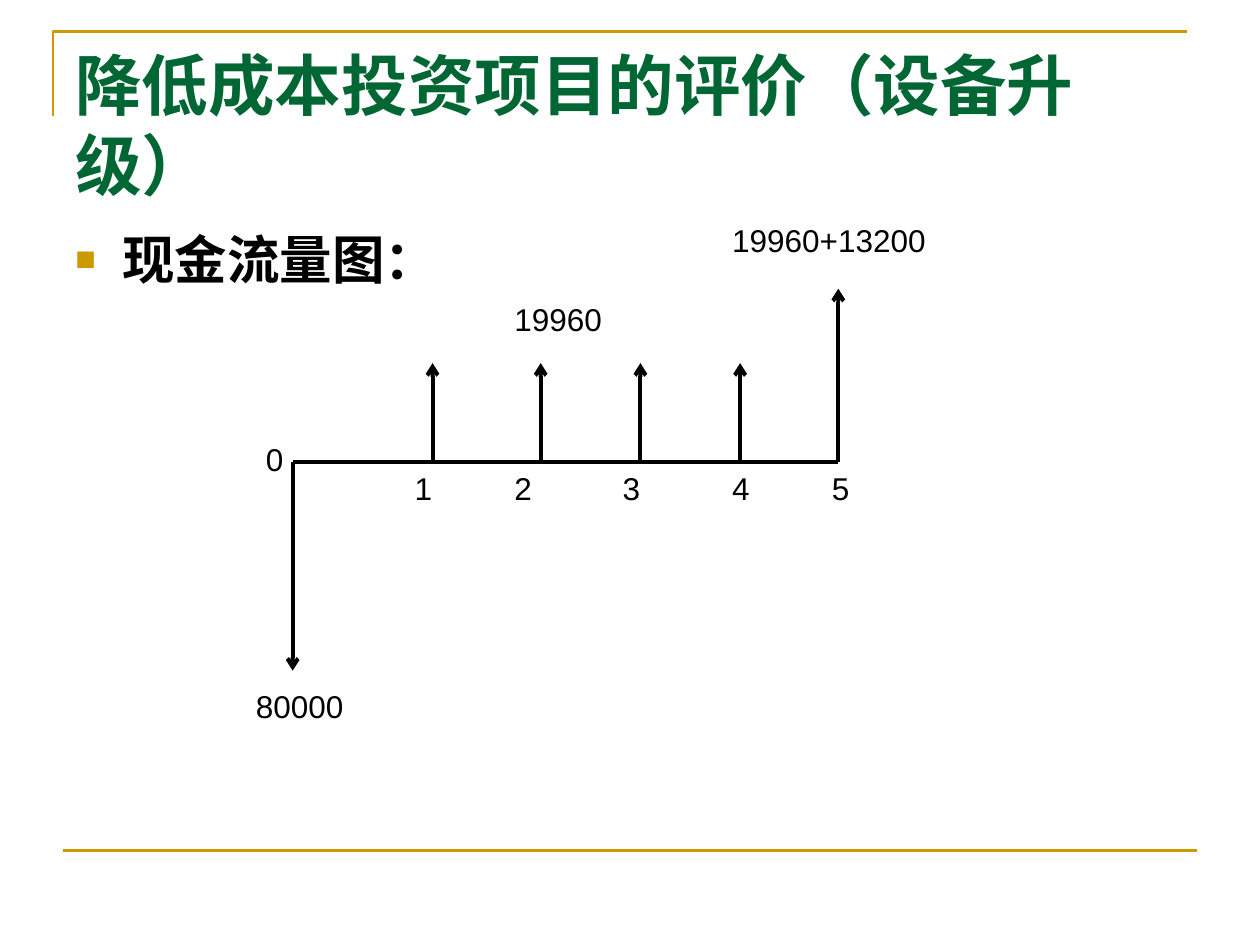
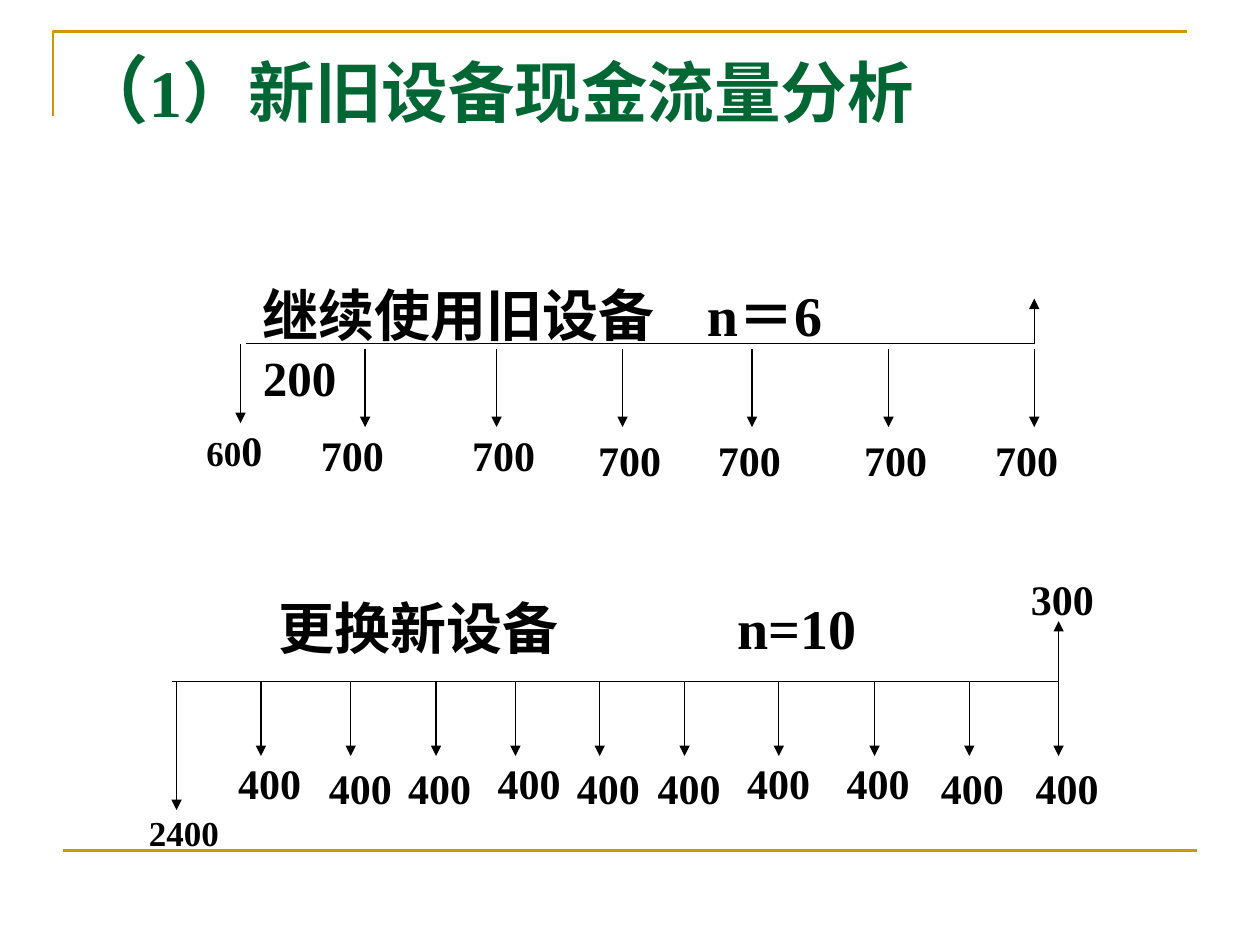
from lxml.etree import SubElement
from pptx import Presentation
from pptx.dml.color import RGBColor
from pptx.enum.shapes import MSO_CONNECTOR as Connector
from pptx.enum.text import MSO_ANCHOR as Anchor, PP_ALIGN as Align
from pptx.oxml.ns import qn
from pptx.util import Cm, Pt

# Shared look
GOLD, GREEN, BLACK = "CC9900", "006633", "000000"
TITLE = dict(name="Times New Roman", size=38, bold=True, color=GREEN)
BODY = dict(name="Arial", size=30, bold=True, color=BLACK)
PLAIN = dict(name="Arial", size=18, bold=False, color=BLACK)
SERIF = dict(name="Times New Roman", size=24, bold=True, color=BLACK)
SERIF_SMALL = SERIF | dict(size=20)
SERIF_HEAD = SERIF | dict(size=32)
THICK = dict(weight=2.25, head="arrow")
THIN = dict(weight=0.75, head="triangle")


def rgb(hex_code):
    return RGBColor.from_string(hex_code)


def style_font(font, look):
    for name, value in look.items():
        if name == "color":
            font.color.rgb = rgb(value)
        else:
            setattr(font, name, Pt(value) if name == "size" else value)


def write(para, *spans):
    """Each span is (text, look)."""
    for text, look in spans:
        span = para.add_run()
        span.text = text
        style_font(span.font, look)


def set_frame(frame, right=0.25):
    settings = dict(word_wrap=True, vertical_anchor=Anchor.TOP,
                    margin_left=Cm(0.25), margin_right=Cm(right),
                    margin_top=Cm(0.13), margin_bottom=Cm(0.13))
    for name, value in settings.items():
        setattr(frame, name, value)


def add_text(shapes, left, top, width, height, *spans):
    box = shapes.add_textbox(Cm(left), Cm(top), Cm(width), Cm(height))
    set_frame(box.text_frame, right=0)
    para = box.text_frame.paragraphs[0]
    write(para, *spans)
    return para


def add_tab(para, position):
    stops = SubElement(para._p.get_or_add_pPr(), qn("a:tabLst"))
    SubElement(stops, qn("a:tab"), pos=str(Cm(position)), algn="l")


def add_line(shapes, start, end, color=BLACK, weight=1.5, head=None):
    line = shapes.add_connector(Connector.STRAIGHT, *map(Cm, start + end))
    line.line.color.rgb = rgb(color)
    line.line.width = Pt(weight)
    if head:
        SubElement(line.line._get_or_add_ln(), qn("a:tailEnd"), type=head)
    SubElement(line._element.spPr, qn("a:effectLst"))


def add_page(deck, height, *spans):
    """Title-only page with its gold frame and title."""
    page = deck.slides.add_slide(deck.slide_layouts[5])

    # Corner line and base line
    builder = page.shapes.build_freeform(Cm(1.07), Cm(2.34))
    builder.add_line_segments([(Cm(1.07), Cm(0.64)), (Cm(23.93), Cm(0.64))],
                              close=False)
    corner = builder.convert_to_shape()
    corner.shadow.inherit = False
    corner.fill.background()
    corner.line.color.rgb = rgb(GOLD)
    corner.line.width = Pt(1.5)
    add_line(page.shapes, (1.27, 17.15), (24.13, 17.15), GOLD)

    # Title
    title = page.shapes.title
    place = dict(left=1.27, top=0.76, width=22.86, height=height)
    for name, value in place.items():
        setattr(title, name, Cm(value))
    set_frame(title.text_frame)
    para = title.text_frame.paragraphs[0]
    para.alignment = Align.LEFT
    write(para, *spans)
    return page


def add_bullet(shapes, left, top, width, height, text):
    para = add_text(shapes, left, top, width, height, (text, BODY))
    props = para._p.get_or_add_pPr()
    props.set("marL", str(Cm(0.95)))
    props.set("indent", str(-Cm(0.95)))
    color = SubElement(props, qn("a:buClr"))
    SubElement(color, qn("a:srgbClr"), val=GOLD)
    SubElement(props, qn("a:buSzPct"), val="65000")
    SubElement(props, qn("a:buFont"), typeface="Arial")
    SubElement(props, qn("a:buChar"), char="■")


def add_cash_flow(page, origin, axis, flows, labels, stroke):
    """Draw a time axis with flows (x, from, to) and labels
    (x, y, width, spans), all measured from the origin.
    Return the group, for further text."""
    x0, y0 = origin
    shapes = page.shapes.add_group_shape().shapes
    start, end = axis
    add_line(shapes, (x0 + start, y0), (x0 + end, y0), weight=stroke["weight"])
    for x, tail, tip in flows:
        add_line(shapes, (x0 + x, y0 + tail), (x0 + x, y0 + tip), **stroke)
    for x, y, width, *spans in labels:
        add_text(shapes, x0 + x, y0 + y, width, 1.1, *spans)
    return shapes


def build_upgrade_page(deck):
    page = add_page(deck, 3.18, ("降低成本投资项目的评价（设备升级）", TITLE))
    add_bullet(page.shapes, 1.27, 4.45, 22.86, 12.5, "现金流量图：")
    years = [2.82, 5, 7.01, 9.02]
    flows = [(0, 0, 4.2), *((x, 0, -2) for x in years), (11, 0, -3.5)]
    year_lefts = [2.21, 4.22, 6.4, 8.61, 10.62]
    labels = [(-0.79, -0.58, 1.2, ("0", PLAIN)),
              (-0.99, 4.39, 3.4, ("80000", PLAIN)),
              (4.22, -3.4, 3.4, ("19960", PLAIN)),
              (8.61, -5, 5.8, ("19960+13200", PLAIN))]
    labels += [(x, 0, 1.2, (str(year), PLAIN))
               for year, x in enumerate(year_lefts, 1)]
    add_cash_flow(page, (5.9, 9.32), (0, 11), flows, labels, THICK)


def add_old_machine(page, left, top):
    years = [2.51, 5.16, 7.7, 10.31, 13.06, 16]
    flows = [(0, 0, 1.6), *((x, 0.1, 1.68) for x in years), (16, 0, -0.91)]
    costs = [(1.37, 1.6), (4.42, 1.6), (6.96, 1.7), (9.37, 1.7),
             (12.32, 1.7), (14.96, 1.7)]
    labels = [(-0.94, 1.5, 1.78, ("60", SERIF_SMALL), ("0", SERIF))]
    labels += [(x, y, 1.78, ("700", SERIF)) for x, y in costs]
    shapes = add_cash_flow(page, (left, top), (0.1, 16), flows, labels, THIN)
    para = add_text(shapes, left + 0.2, top - 1.4, 15.47, 2.8,
                    ("继续使用旧设备\tn＝6", SERIF_HEAD))
    add_tab(para, 8.95)
    para.add_line_break()
    write(para, ("200", SERIF | dict(size=28)))


def add_new_machine(page, left, top):
    years = [1.7, 3.51, 5.23, 6.83, 8.53, 10.24, 12.14, 14.07, 15.98, 17.78]
    flows = [(0, 0, 2.59), *((x, 0, 1.5) for x in years), (17.78, 0, -1.22)]
    costs = [(0.99, 1.4), (2.82, 1.5), (4.42, 1.5), (6.22, 1.4), (7.82, 1.5),
             (9.45, 1.5), (11.25, 1.4), (13.26, 1.4), (15.16, 1.5),
             (17.07, 1.5)]
    labels = [(-0.81, 2.49, 2, ("2400", SERIF_SMALL)),
              (16.97, -2.31, 1.8, ("300", SERIF))]
    labels += [(x, y, 1.8, ("400", SERIF)) for x, y in costs]
    shapes = add_cash_flow(page, (left, top), (-0.1, 17.78), flows, labels, THIN)
    para = add_text(shapes, left + 1.8, top - 1.9, 12.65, 1.63,
                    ("更换新设备\tn=10", SERIF_HEAD))
    add_tab(para, 9.25)


def build_replacement_page(deck):
    page = add_page(deck, 2.54, ("（", TITLE | dict(size=42)),
                    ("1）新旧设备现金流量分析", TITLE))
    add_old_machine(page, 4.85, 6.93)
    add_new_machine(page, 3.56, 13.74)


def main():
    deck = Presentation()
    deck.slide_width, deck.slide_height = Cm(25.4), Cm(19.05)
    build_upgrade_page(deck)
    build_replacement_page(deck)
    deck.save("out.pptx")


if __name__ == "__main__":
    main()
